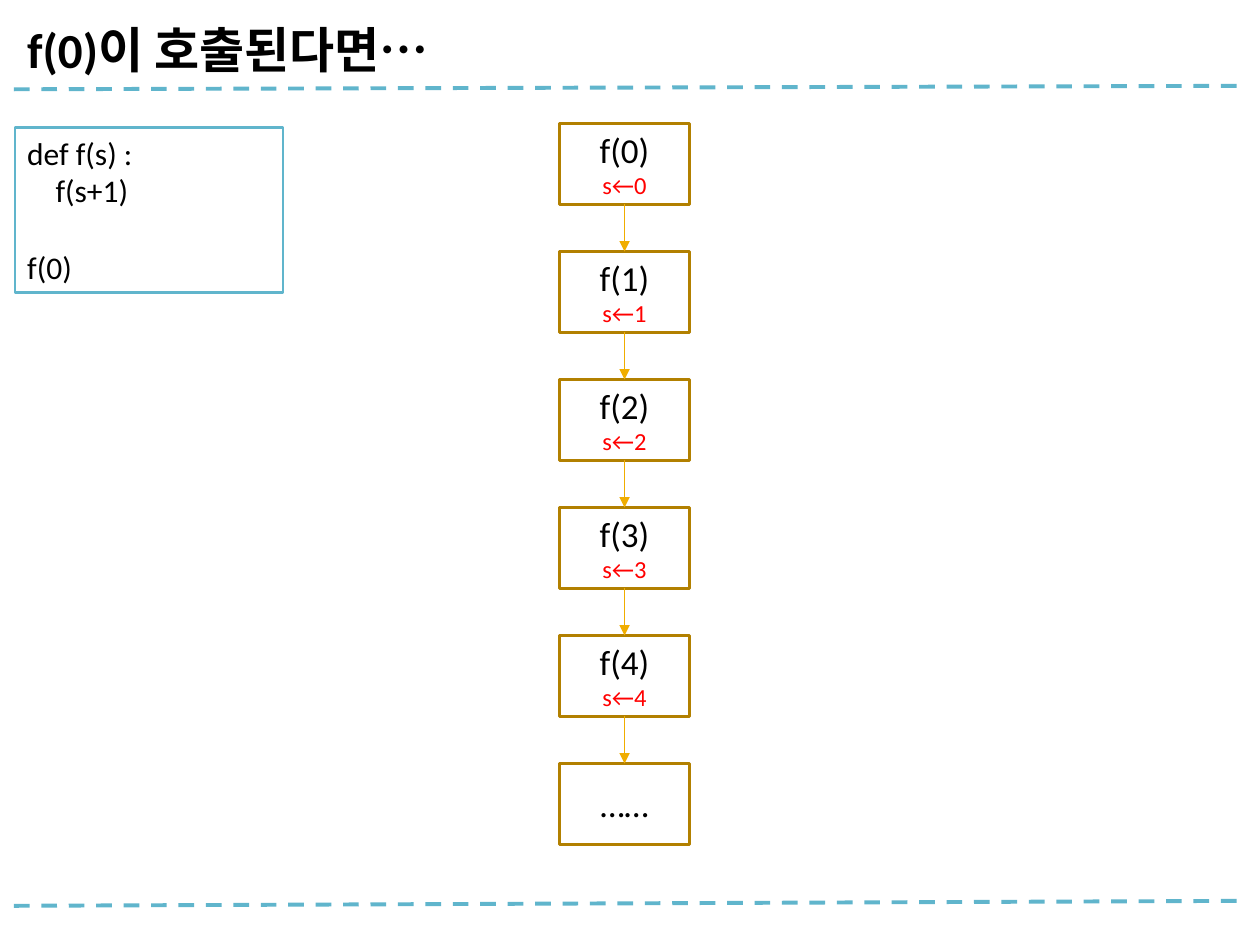
"""Draw the endless call chain that starts when f(0) is called."""
from dataclasses import dataclass

from lxml import etree
from pptx import Presentation
from pptx import util as u
from pptx.dml.color import RGBColor
from pptx.enum import dml, shapes, text
from pptx.oxml import ns


@dataclass(frozen=True)
class Theme:
    font: str = "Calibri"
    ink: str = "000000"
    accent: str = "FF0000"
    paper: str = "FFFFFF"
    rule: str = "60B5CC"
    frame: str = "B28000"
    arrow: str = "F0AD00"
    title: int = 28
    call: int = 20
    code: int = 18
    assign: int = 14


class Painter:
    def __init__(self, theme, slide):
        self.theme, self.slide = theme, slide

    def apply(self, target, values):
        for name, value in values.items():
            setattr(target, name, value)

    def outline(self, item, color, width):
        item.line.color.rgb = RGBColor.from_string(color)
        item.line.width = u.Pt(width)

    def set_text(self, box, rows, frame_format):
        frame = box.text_frame
        self.apply(frame, {"word_wrap": True, **frame_format})
        for index, (words, size, color, bold, layout) in enumerate(rows):
            para = frame.add_paragraph() if index else frame.paragraphs[0]
            self.apply(para, {"alignment": text.PP_ALIGN.LEFT, **layout})
            span = para.add_run()
            span.text = words
            self.apply(span.font, {"name": self.theme.font, "size": u.Pt(size), "bold": bold})
            span.font.color.rgb = RGBColor.from_string(color)

    def title(self, words, area):
        box = self.slide.shapes.add_textbox(*map(u.Cm, area))
        self.set_text(box, [(words, self.theme.title, self.theme.ink, True, {})],
                      {"vertical_anchor": text.MSO_ANCHOR.BOTTOM})

    def rectangle(self, area, color):
        box = self.slide.shapes.add_shape(shapes.MSO_SHAPE.RECTANGLE, *map(u.Cm, area))
        box.shadow.inherit = False
        box.fill.background()
        self.outline(box, color, 1.5)
        return box

    def code(self, lines, area):
        box = self.rectangle(area, self.theme.rule)
        box.fill.solid()
        box.fill.fore_color.rgb = RGBColor.from_string(self.theme.paper)
        rows = [(words, self.theme.code, self.theme.ink, False, {"space_before": u.Pt(gap)})
                for words, indent, gap in lines]
        self.set_text(box, rows, {"vertical_anchor": text.MSO_ANCHOR.TOP,
                                  "auto_size": text.MSO_AUTO_SIZE.SHAPE_TO_FIT_TEXT})
        for para, (words, indent, gap) in zip(box.text_frame.paragraphs, lines):
            para._p.get_or_add_pPr().set("marL", str(u.Cm(indent)))

    def call(self, words, assignment, area):
        box = self.rectangle(area, self.theme.frame)
        center = {"alignment": text.PP_ALIGN.CENTER}
        rows = [(words, self.theme.call, self.theme.ink, False, center)]
        if assignment:
            rows.append((assignment, self.theme.assign, self.theme.accent, False, center))
        margins = {f"margin_{side}": 0 for side in ("left", "top", "right", "bottom")}
        self.set_text(box, rows, {"vertical_anchor": text.MSO_ANCHOR.MIDDLE, **margins})
        return box

    def connector(self, ends, color, width):
        line = self.slide.shapes.add_connector(shapes.MSO_CONNECTOR.STRAIGHT, *map(u.Cm, ends))
        self.outline(line, color, width)
        etree.SubElement(line._element.spPr, ns.qn("a:effectLst"))
        return line

    def rule(self, ends):
        line = self.connector(ends, self.theme.rule, 2.25)
        line.line.dash_style = dml.MSO_LINE.DASH

    def arrow(self, upper, lower):
        line = self.connector((0, 0, 0, 0), self.theme.arrow, 0.75)
        line.begin_connect(upper, 2)
        line.end_connect(lower, 0)
        stroke = line._element.spPr.find(ns.qn("a:ln"))
        etree.SubElement(stroke, ns.qn("a:tailEnd"), type="triangle")


def main():
    deck = Presentation()
    deck.slide_width, deck.slide_height = u.Cm(25.4), u.Cm(19.05)
    painter = Painter(Theme(), deck.slides.add_slide(deck.slide_layouts[6]))

    for left_end, right_end in ((1.8, 1.73), (18.26, 18.16)):
        painter.rule((0.28, left_end, 25.07, right_end))
    painter.title("f(0)이 호출된다면…", (0.3, 0, 24.8, 1.7))
    painter.code([("def f(s) :", 0, 0), ("f(s+1)", 0.57, 0), ("f(0)", 0, 22)],
                 (0.3, 2.57, 5.41, 3.33))

    labels = [(f"f({step})", f"s←{step}") for step in range(5)] + [("……", "")]
    calls = [painter.call(words, assignment, (11.28, 2.49 + 2.58 * row, 2.62, 1.63))
             for row, (words, assignment) in enumerate(labels)]
    for upper, lower in zip(calls, calls[1:]):
        painter.arrow(upper, lower)

    deck.save("out.pptx")


if __name__ == "__main__":
    main()
